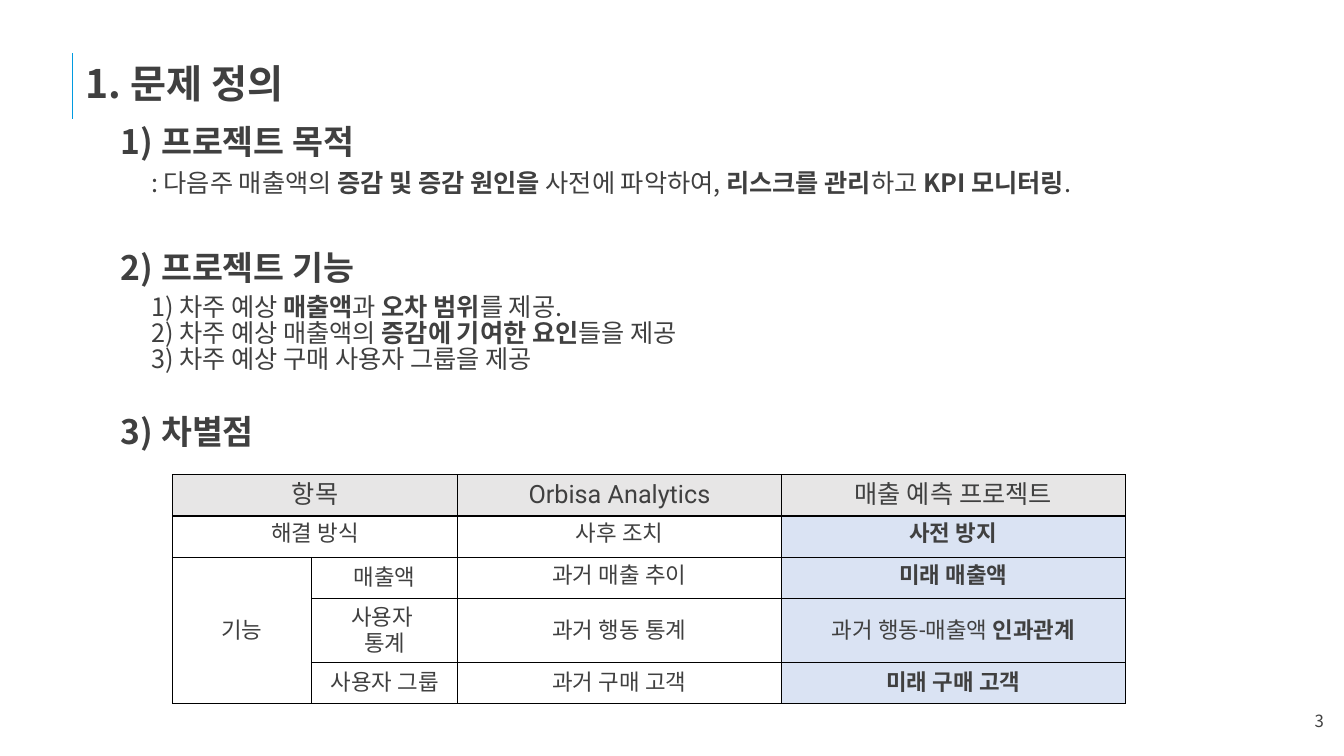
from lxml import etree
from pptx import Presentation, util as u
from pptx.dml.color import RGBColor
from pptx.enum import shapes, text
from pptx.oxml.ns import qn

BODY = "Noto Sans CJK KR"
TABLE = "Roboto"
INK = "404040"
GREY = "E7E6E6"
BLUE = "DAE3F3"


def rgb(value):
    return RGBColor.from_string(value)


def write(tf, content, size=18, font=BODY, bold=False, align=None, spacing=None):
    for i, line in enumerate(content.split("\n")):
        p = tf.paragraphs[0] if i == 0 else tf.add_paragraph()
        p.alignment = align
        p.line_spacing = spacing
        for j, part in enumerate(line.split("**")):
            if part:
                r = p.add_run()
                r.text = part
                r.font.size = u.Pt(size)
                r.font.name = font
                r.font.bold = bold or j % 2 == 1
                r.font.color.rgb = rgb(INK)
                ea = etree.SubElement(r.font._element, qn("a:ea"))
                ea.set("typeface", font)


def add_text(s, box, content, inset=True, anchor=text.MSO_ANCHOR.TOP, **fmt):
    sp = s.shapes.add_textbox(*map(u.Inches, box))
    tf = sp.text_frame
    tf.word_wrap = True
    tf.vertical_anchor = anchor
    if not inset:
        tf.margin_left = tf.margin_right = tf.margin_top = tf.margin_bottom = 0
    write(tf, content, **fmt)


def add_title(s, x, y, content):
    rule = s.shapes.add_connector(
        shapes.MSO_CONNECTOR.STRAIGHT,
        *map(u.Inches, (x, y, x, y + 0.65)))
    rule.line.color.rgb = rgb("019BE0")
    rule.line.width = u.Pt(1.25)
    etree.SubElement(rule._element.spPr, qn("a:effectLst"))
    add_text(s, (x + 0.13, y + 0.11, 4.3, 0.47), content, inset=False,
             size=28, bold=True, spacing=0.9)


def add_section(s, x, y, heading, body=None, width=9.76, height=0.4, spacing=0.9):
    add_text(s, (x, y, 3.5, 0.4), heading, inset=False,
             size=24, bold=True, spacing=0.9)
    if body:
        add_text(s, (x + 0.2, y + 0.4, width, height), body, spacing=spacing)


def add_borders(cell):
    tcPr = cell._tc.get_or_add_tcPr()
    for side in ("lnL", "lnR", "lnT", "lnB"):
        ln = etree.SubElement(tcPr, qn(f"a:{side}"), w=str(u.Pt(1)))
        fill = etree.SubElement(ln, qn("a:solidFill"))
        etree.SubElement(fill, qn("a:srgbClr"), val="000000")


def add_comparison(s, x, y):
    rows = [
        ["항목", "", "Orbisa Analytics", "매출 예측 프로젝트"],
        ["해결 방식", "", "사후 조치", "**사전 방지**"],
        ["기능", "매출액", "과거 매출 추이", "**미래 매출액**"],
        ["", "사용자 \n통계", "과거 행동 통계", "과거 행동-매출액 **인과관계**"],
        ["", "사용자 그룹", "과거 구매 고객", "**미래 구매 고객**"],
    ]
    widths = [1.38, 1.45, 3.21, 3.41]
    heights = [0.41, 0.41, 0.41, 0.62, 0.41]
    frame = s.shapes.add_table(
        len(rows), len(widths),
        *map(u.Inches, (x, y, sum(widths), sum(heights))))
    tbl = frame.table
    tbl.first_row = tbl.horz_banding = False
    for col, width in zip(tbl.columns, widths):
        col.width = u.Inches(width)
    for row, height in zip(tbl.rows, heights):
        row.height = u.Inches(height)
    for first, last in (((0, 0), (0, 1)), ((1, 0), (1, 1)), ((2, 0), (4, 0))):
        tbl.cell(*first).merge(tbl.cell(*last))
    for i, row in enumerate(rows):
        for j, content in enumerate(row):
            cell = tbl.cell(i, j)
            add_borders(cell)
            fill = GREY if i == 0 else BLUE if j == 3 else None
            if fill:
                cell.fill.solid()
                cell.fill.fore_color.rgb = rgb(fill)
            else:
                cell.fill.background()
            middle = i > 2 or (i == 2 and j < 2)
            cell.vertical_anchor = (
                text.MSO_ANCHOR.MIDDLE if middle else text.MSO_ANCHOR.TOP)
            if content:
                write(cell.text_frame, content, size=18 if i == 0 else 16,
                      font=TABLE, align=text.PP_ALIGN.CENTER)


def main():
    prs = Presentation()
    prs.slide_width = u.Inches(13.33)
    prs.slide_height = u.Inches(7.5)
    s = prs.slides.add_slide(prs.slide_layouts[6])
    add_text(s, (10.23, 6.95, 3, 0.4), "3", size=12,
             anchor=text.MSO_ANCHOR.MIDDLE, align=text.PP_ALIGN.RIGHT)
    add_title(s, 0.72, 0.53, "1. 문제 정의")
    add_section(s, 1.2, 1.24, "1) 프로젝트 목적",
                ": 다음주 매출액의 **증감 및 증감 원인을** 사전에 파악하여, "
                "**리스크를 관리**하고 **KPI 모니터링**.")
    add_section(s, 1.2, 2.49, "2) 프로젝트 기능",
                "1) 차주 예상 **매출액**과 **오차 범위**를 제공.\n"
                "2) 차주 예상 매출액의 **증감에 기여한 요인**들을 제공\n"
                "3) 차주 예상 구매 사용자 그룹을 제공",
                width=7.97, height=1.01, spacing=0.85)
    add_section(s, 1.2, 4.12, "3) 차별점")
    add_comparison(s, 1.71, 4.71)
    prs.save("out.pptx")


if __name__ == "__main__":
    main()
